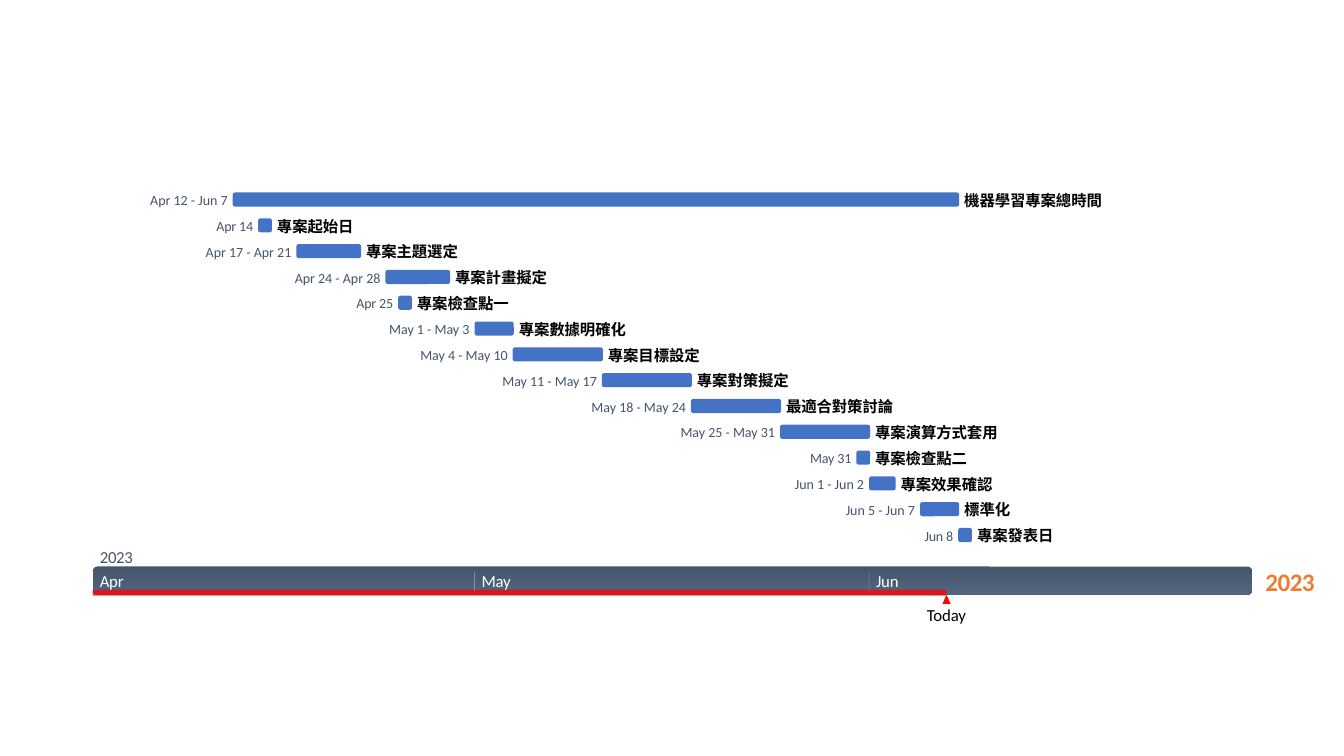
"""Build a Gantt timeline slide for a 2023 machine learning project."""
from lxml.etree import SubElement
from pptx import Presentation
from pptx.dml.color import RGBColor
from pptx.enum.shapes import MSO_CONNECTOR, MSO_SHAPE
from pptx.enum.text import MSO_ANCHOR, PP_ALIGN
from pptx.oxml.ns import qn
from pptx.util import Inches, Pt

deck = Presentation()
deck.slide_width, deck.slide_height = Inches(13.33), Inches(7.5)
slide = deck.slides.add_slide(deck.slide_layouts[6])

LEFT, SPAN = 0.92, 11.5
DAY = SPAN / 91.1
TOP, ROW, BAR = 1.91, 0.256, 0.14
AXIS, BAND = 5.62, 0.28
SLATE, BLUE, RED = "44546A", "4472C4", "FF0000"
START = {"Apr": 0, "May": 30, "Jun": 61}
WIDE = {"Apr": 0.24, "May": 0.29, "Jun": 0.24}
DIGIT, DASH, GLYPH, GAP = 0.07, 0.12, 0.153, 0.05


def block(kind, x, y, w, h, color):
    """Draw a filled preset shape without outline."""
    shape = slide.shapes.add_shape(
        kind, Inches(x), Inches(y), Inches(w), Inches(h))
    shape.shadow.inherit = False
    shape.line.fill.background()
    shape.fill.solid()
    shape.fill.fore_color.rgb = RGBColor.from_string(color)
    return shape


def label(text, x, y, w, h, size, color, align=PP_ALIGN.LEFT, bold=False, track=-10):
    """Place one line of text in a box without margins."""
    frame = slide.shapes.add_textbox(
        Inches(x), Inches(y), Inches(w), Inches(h)).text_frame
    frame.margin_left = frame.margin_right = 0
    frame.margin_top = frame.margin_bottom = 0
    frame.word_wrap = False
    frame.vertical_anchor = MSO_ANCHOR.MIDDLE
    frame.text = text
    para = frame.paragraphs[0]
    para.alignment = align
    run = para.runs[0]
    run.font.name, run.font.size, run.font.bold = "Calibri", Pt(size), bold
    run.font.color.rgb = RGBColor.from_string(color)
    run._r.get_or_add_rPr().set("spc", str(track))


label("2023", LEFT + SPAN + 0.13, 5.61, 0.49, 0.31, 18, "ED7D31",
      PP_ALIGN.CENTER, True, -40)

band = block(MSO_SHAPE.ROUNDED_RECTANGLE, LEFT, AXIS, SPAN, BAND, SLATE)
band.fill.gradient()
band.fill.gradient_angle = 270
for stop, color, place in zip(band.fill.gradient_stops, (SLATE, "52667F"), (0, 1)):
    stop.color.rgb = RGBColor.from_string(color)
    stop.position = place

past = 67 * DAY + 0.01
done = block(MSO_SHAPE.ROUNDED_RECTANGLE, LEFT, 5.85, past, 0.06, RED)
tint = done.fill._xPr.find(".//" + qn("a:srgbClr"))
SubElement(tint, qn("a:alpha")).set("val", "75000")

now = LEFT + past
block(MSO_SHAPE.ISOSCELES_TRIANGLE, now - 0.04, 5.9, 0.08, 0.09, RED)
label("Today", now - 0.2, 6, 0.4, 0.2, 12, "000000", PP_ALIGN.CENTER)

label("2023", LEFT + 0.07, 5.42, 0.33, 0.2, 12, SLATE, track=-20)
for month, first in START.items():
    x = LEFT + first * DAY
    label(month, x + 0.07, 5.66, WIDE[month], 0.2, 12, "FFFFFF", track=-20)
    if first:
        tick = slide.shapes.add_connector(
            MSO_CONNECTOR.STRAIGHT, Inches(x), Inches(5.67), Inches(x), Inches(5.86))
        tick.line.width = Pt(0.5)
        tick.line.color.rgb = RGBColor.from_string("FFFFFF")
        props = tick._element.spPr
        tint = props.find(".//" + qn("a:srgbClr"))
        SubElement(tint, qn("a:alpha")).set("val", "30000")
        SubElement(props, qn("a:effectLst"))

tasks = [
    ("Apr 12 - Jun 7", "機器學習專案總時間"),
    ("Apr 14", "專案起始日"),
    ("Apr 17 - Apr 21", "專案主題選定"),
    ("Apr 24 - Apr 28", "專案計畫擬定"),
    ("Apr 25", "專案檢查點一"),
    ("May 1 - May 3", "專案數據明確化"),
    ("May 4 - May 10", "專案目標設定"),
    ("May 11 - May 17", "專案對策擬定"),
    ("May 18 - May 24", "最適合對策討論"),
    ("May 25 - May 31", "專案演算方式套用"),
    ("May 31", "專案檢查點二"),
    ("Jun 1 - Jun 2", "專案效果確認"),
    ("Jun 5 - Jun 7", "標準化"),
    ("Jun 8", "專案發表日"),
]
for row, (dates, title) in enumerate(tasks):
    ends = [date.split() for date in dates.split(" - ")]
    days = [START[month] + int(day) for month, day in ends]
    x, y = LEFT + (days[0] - 1) * DAY, TOP + row * ROW
    width = (days[-1] - days[0] + 1) * DAY + 0.01
    block(MSO_SHAPE.ROUNDED_RECTANGLE, x, y, width, BAR, BLUE)
    room = sum(WIDE[month] + DIGIT * len(day) for month, day in ends)
    room += DASH * (len(ends) - 1)
    label(dates, x - GAP - room, y - 0.01, room, 0.17, 10, SLATE,
          PP_ALIGN.RIGHT, track=0 if len(ends) > 1 else -10)
    label(title, x + width + GAP, y - 0.02, GLYPH * len(title), 0.19, 11,
          "000000", bold=True)

deck.save("out.pptx")
